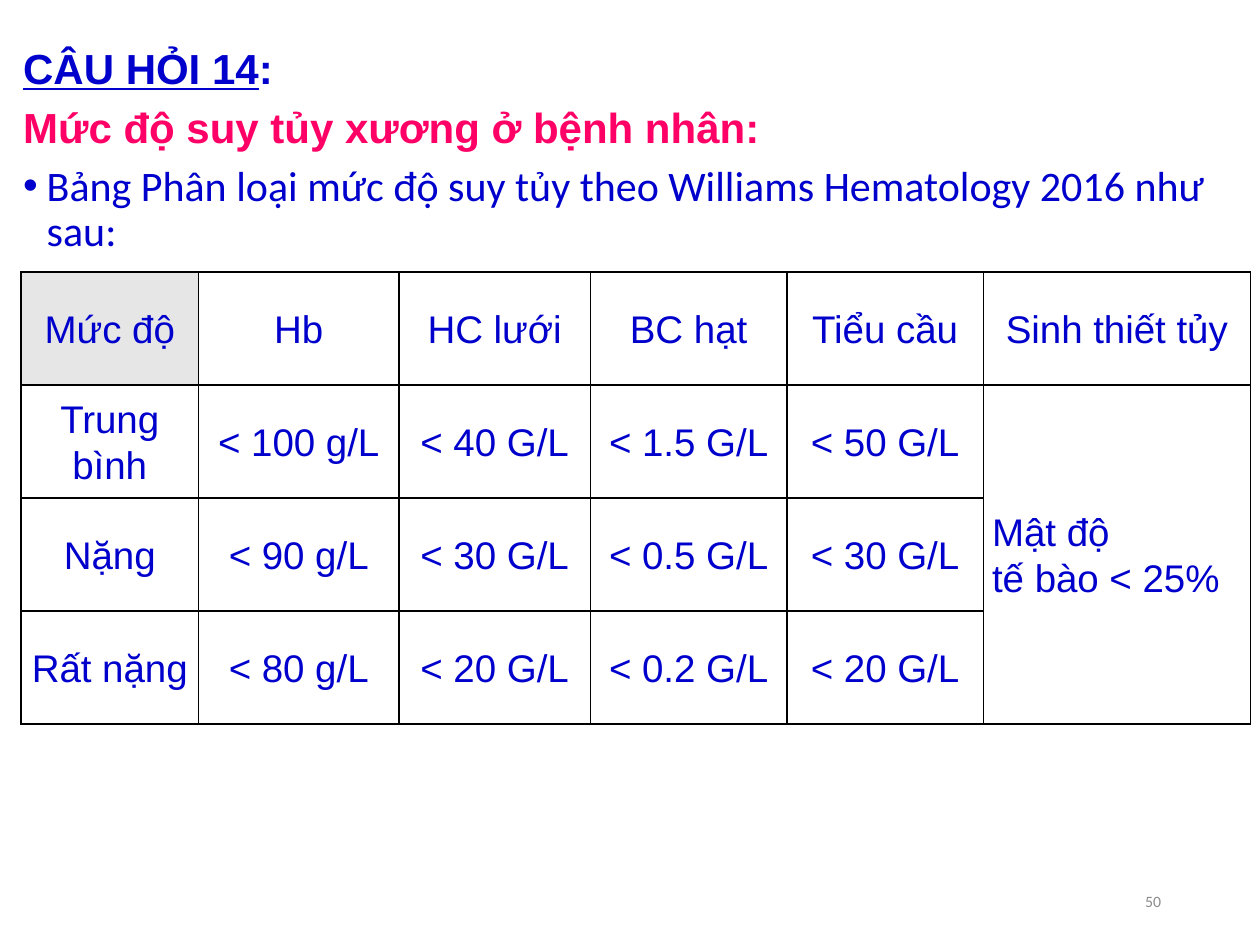
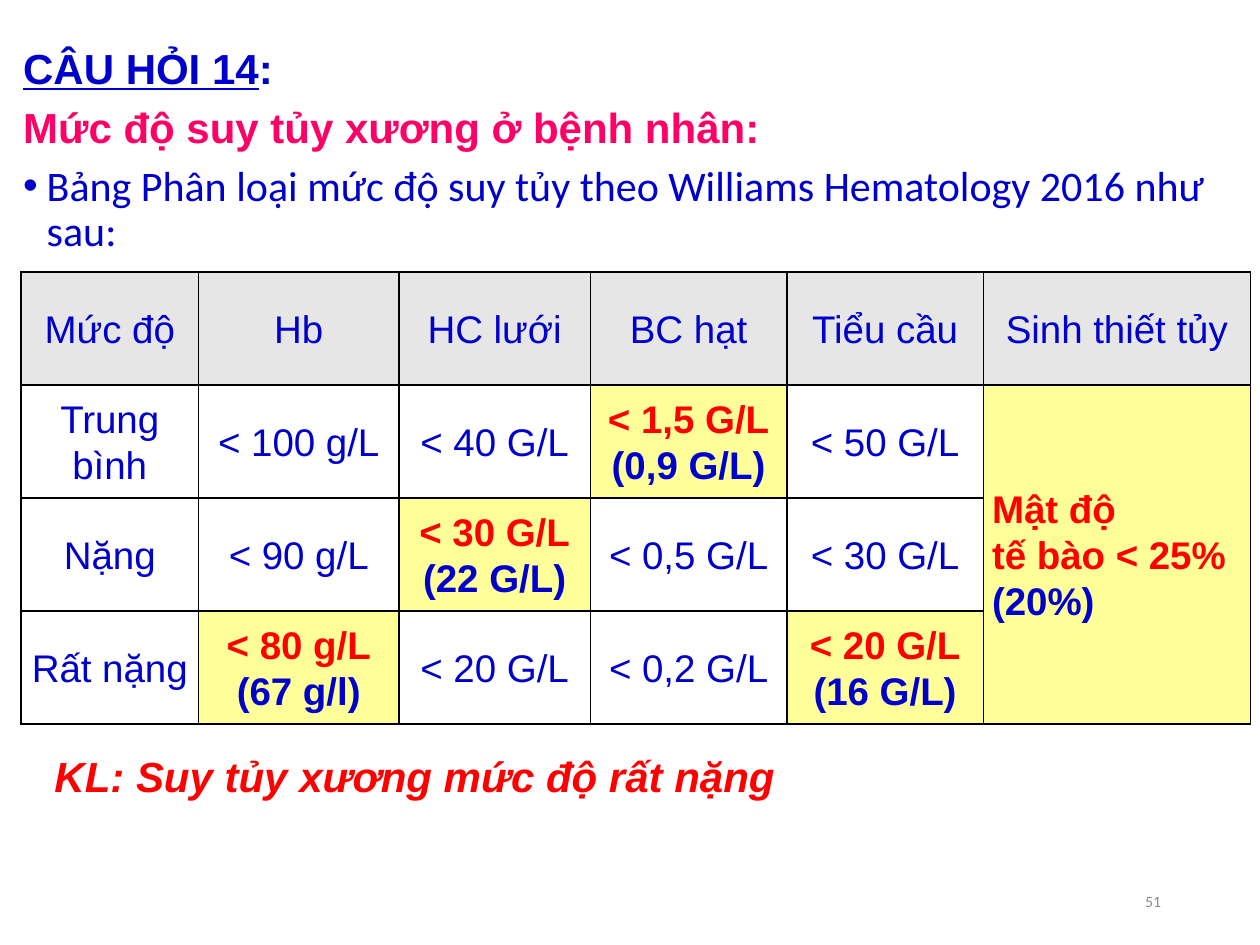
from dataclasses import dataclass

from lxml import etree
from pptx import Presentation
from pptx.dml.color import RGBColor
from pptx.enum.text import MSO_ANCHOR, MSO_AUTO_SIZE, PP_ALIGN
from pptx.oxml.ns import qn
from pptx.util import Pt

LEFT, CENTER, RIGHT, JUSTIFY = PP_ALIGN.LEFT, PP_ALIGN.CENTER, PP_ALIGN.RIGHT, PP_ALIGN.JUSTIFY
MIDDLE, NO_FIT = MSO_ANCHOR.MIDDLE, MSO_AUTO_SIZE.NONE
CONTENT_LAYOUT = 1


@dataclass(frozen=True)
class Theme:
    """Colours, fonts and type sizes shared by the slides."""

    blue: str = "0000CC"
    pink: str = "FF0066"
    red: str = "FF0000"
    gray: str = "8C8C8C"
    border: str = "000000"
    header_fill: str = "E7E6E6"
    match_fill: str = "FFFF99"
    heading_font: str = "Arial"
    text_font: str = "Calibri"
    heading_size: int = 24
    table_size: int = 22
    number_size: int = 9


THEME = Theme()
HEADING = {"name": THEME.heading_font, "size": Pt(THEME.heading_size), "bold": True}
STATEMENT = {"name": THEME.text_font, "size": Pt(THEME.heading_size), "bold": False}
CRITERION = {"name": THEME.heading_font, "size": Pt(THEME.table_size), "bold": False}
NUMBER = {"name": THEME.text_font, "size": Pt(THEME.number_size)}
SPACED = {"line_spacing": 0.9, "space_before": Pt(7.5)}
FIRST = {"line_spacing": 0.9, "space_before": Pt(0)}

COLUMN_WIDTHS = (101.5, 114.5, 109.4, 112.3, 112.3, 152.6)
ROW_HEIGHT = 64.6
BIOPSY_COLUMN = 5
CRITERIA = (
    ("Mức độ", "Hb", "HC lưới", "BC hạt", "Tiểu cầu", "Sinh thiết tủy"),
    ("Trung bình", "< 100 g/L", "< 40 G/L", "< 1.5 G/L", "< 50 G/L", "Mật độ\ntế bào < 25%"),
    ("Nặng", "< 90 g/L", "< 30 G/L", "< 0.5 G/L", "< 30 G/L", ""),
    ("Rất nặng", "< 80 g/L", "< 20 G/L", "< 0.2 G/L", "< 20 G/L", ""),
)
DECIMAL_COMMA_CRITERIA = [[text.replace(".", ",") for text in row] for row in CRITERIA]
PATIENT_VALUES = {
    (1, 3): "(0,9 G/L)",
    (1, BIOPSY_COLUMN): "(20%)",
    (2, 2): "(22 G/L)",
    (3, 1): "(67 g/l)",
    (3, 4): "(16 G/L)",
}


def apply(target, values):
    """Set each named attribute on the target."""
    for name, value in values.items():
        setattr(target, name, value)


def add_run(paragraph, text, color, style):
    """Append a formatted run to the paragraph."""
    run = paragraph.add_run()
    run.text = text
    apply(run.font, style)
    run.font.color.rgb = RGBColor.from_string(color)


def set_bullet(paragraph, symbol=None, indent=0):
    """Give the paragraph a hanging bullet, or none."""
    properties = paragraph._p.get_or_add_pPr()
    properties.set("marL", str(Pt(indent)))
    properties.set("indent", str(-Pt(indent)))
    if symbol:
        etree.SubElement(properties, qn("a:buFont")).set("typeface", THEME.heading_font)
        etree.SubElement(properties, qn("a:buChar")).set("char", symbol)
    else:
        etree.SubElement(properties, qn("a:buNone"))


def add_question(slide):
    """Fill the body with the question, its topic and the table lead-in."""
    slide.shapes.title.element.getparent().remove(slide.shapes.title.element)
    body = slide.placeholders[1]
    apply(body, {"left": Pt(6), "top": Pt(24), "width": Pt(702), "height": Pt(492)})
    frame = body.text_frame
    frame.auto_size = NO_FIT

    question = frame.paragraphs[0]
    set_bullet(question)
    apply(question, {"alignment": JUSTIFY, **FIRST})
    add_run(question, "CÂU HỎI 14", THEME.blue, {**HEADING, "underline": True})
    add_run(question, ":", THEME.blue, HEADING)

    topic = frame.add_paragraph()
    set_bullet(topic)
    apply(topic, SPACED)
    add_run(topic, "Mức độ suy tủy xương ở bệnh nhân:", THEME.pink, HEADING)

    lead_in = frame.add_paragraph()
    set_bullet(lead_in, "•", 13.5)
    apply(lead_in, SPACED)
    add_run(lead_in, "Bảng Phân loại mức độ suy tủy theo Williams Hematology 2016 như sau:",
            THEME.blue, STATEMENT)


def add_text(slide, bounds, text, color, style, layout, frame_values):
    """Add a text box holding one formatted line."""
    frame = slide.shapes.add_textbox(*map(Pt, bounds)).text_frame
    apply(frame, frame_values)
    apply(frame.paragraphs[0], layout)
    add_run(frame.paragraphs[0], text, color, style)


def set_borders(cell):
    """Draw a thin line on every side of the cell."""
    properties = cell._tc.get_or_add_tcPr()
    for position, side in enumerate(("a:lnL", "a:lnR", "a:lnT", "a:lnB")):
        line = etree.Element(qn(side), w=str(Pt(1)))
        fill = etree.SubElement(line, qn("a:solidFill"))
        etree.SubElement(fill, qn("a:srgbClr")).set("val", THEME.border)
        properties.insert(position, line)


def fill_cell(cell, criterion, patient_value, fill, alignment):
    """Write a criterion and, where it is met, the patient's value."""
    apply(cell, {"vertical_anchor": MIDDLE, "margin_left": Pt(5), "margin_right": Pt(5),
                 "margin_top": 0, "margin_bottom": 0})
    if fill:
        cell.fill.solid()
        cell.fill.fore_color.rgb = RGBColor.from_string(fill)
    else:
        cell.fill.background()
    set_borders(cell)
    if not criterion:
        return
    style = {**CRITERION, "bold": bool(patient_value)}
    color = THEME.red if patient_value else THEME.blue
    lines = [(text, color) for text in criterion.split("\n")]
    if patient_value:
        lines.append((patient_value, THEME.blue))
    for index, (text, line_color) in enumerate(lines):
        frame = cell.text_frame
        paragraph = frame.add_paragraph() if index else frame.paragraphs[0]
        apply(paragraph, {"alignment": alignment, "line_spacing": 1.07})
        add_run(paragraph, text, line_color, style)


def add_severity_table(slide, criteria, patient_values, shaded_headers):
    """Add the severity table with the patient's matches highlighted."""
    rows, columns = len(criteria), len(COLUMN_WIDTHS)
    table = slide.shapes.add_table(rows, columns, Pt(12), Pt(155.5), Pt(sum(COLUMN_WIDTHS)),
                                   Pt(rows * ROW_HEIGHT)).table
    apply(table, {"first_row": False, "horz_banding": False})
    for column, width in zip(table.columns, COLUMN_WIDTHS):
        column.width = Pt(width)
    table.cell(1, BIOPSY_COLUMN).merge(table.cell(rows - 1, BIOPSY_COLUMN))
    for r, row in enumerate(criteria):
        for c, criterion in enumerate(row):
            patient_value = patient_values.get((r, c))
            fill = THEME.match_fill if patient_value else None
            if r == 0 and c < shaded_headers:
                fill = THEME.header_fill
            alignment = JUSTIFY if r and c == BIOPSY_COLUMN else CENTER
            fill_cell(table.cell(r, c), criterion, patient_value, fill, alignment)


def add_question_slide(deck, number, criteria, patient_values, shaded_headers):
    """Add a slide with the question, its number and the severity table."""
    slide = deck.slides.add_slide(deck.slide_layouts[CONTENT_LAYOUT])
    add_question(slide)
    add_text(slide, (508.5, 500.5, 162, 28.75), number, THEME.gray, NUMBER,
             {"alignment": RIGHT}, {"word_wrap": True, "vertical_anchor": MIDDLE})
    add_severity_table(slide, criteria, patient_values, shaded_headers)
    return slide


def main():
    """Build the question slide and its answer."""
    deck = Presentation()
    apply(deck, {"slide_width": Pt(720), "slide_height": Pt(540)})
    add_question_slide(deck, "50", CRITERIA, {}, 1)
    answer = add_question_slide(deck, "51", DECIMAL_COMMA_CRITERIA, PATIENT_VALUES,
                                len(COLUMN_WIDTHS))
    add_text(answer, (24, 428.5, 431, 33), "KL: Suy tủy xương mức độ rất nặng", THEME.red,
             {**HEADING, "italic": True}, {"alignment": LEFT, **FIRST}, {"word_wrap": False})
    deck.save("out.pptx")


if __name__ == "__main__":
    main()
